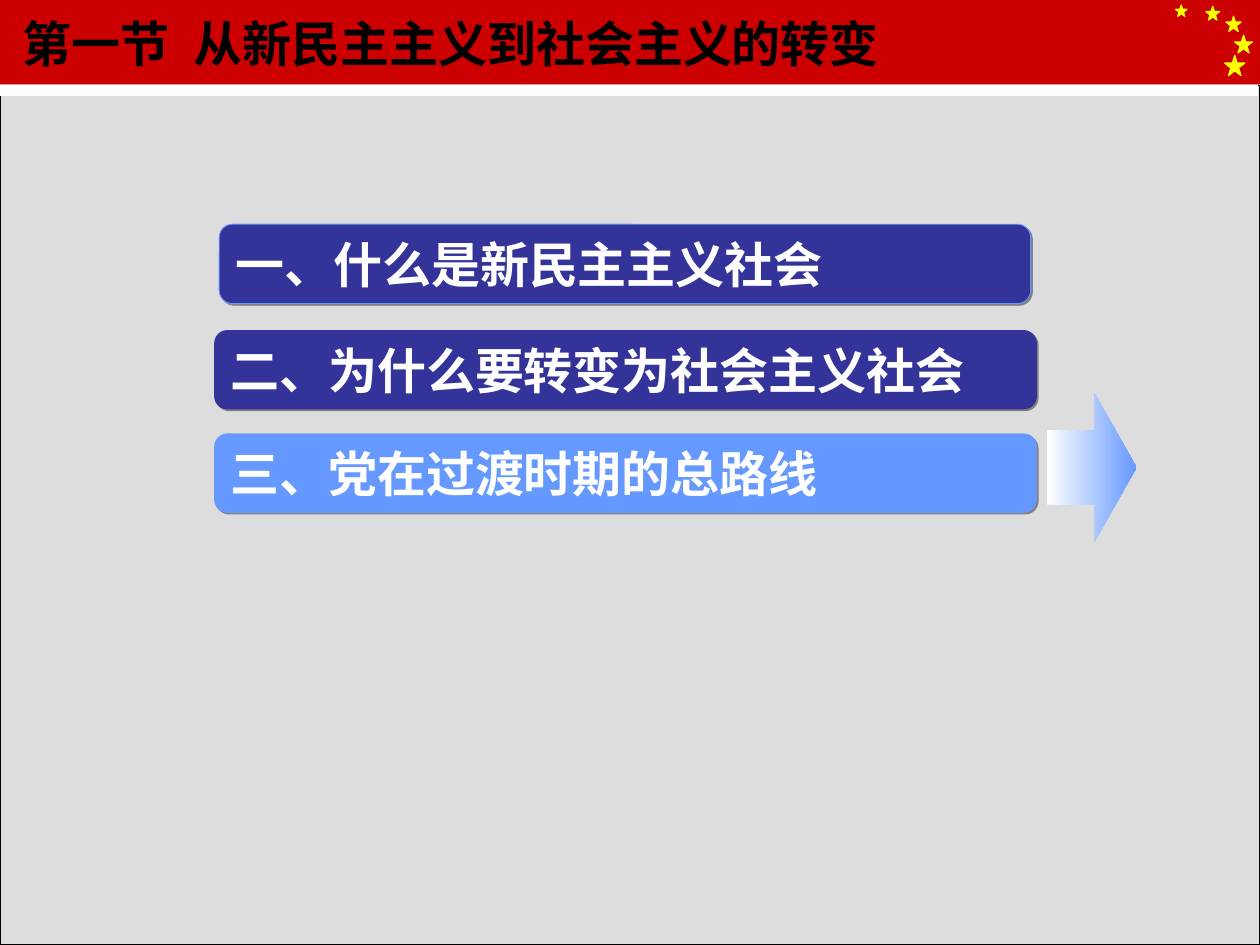
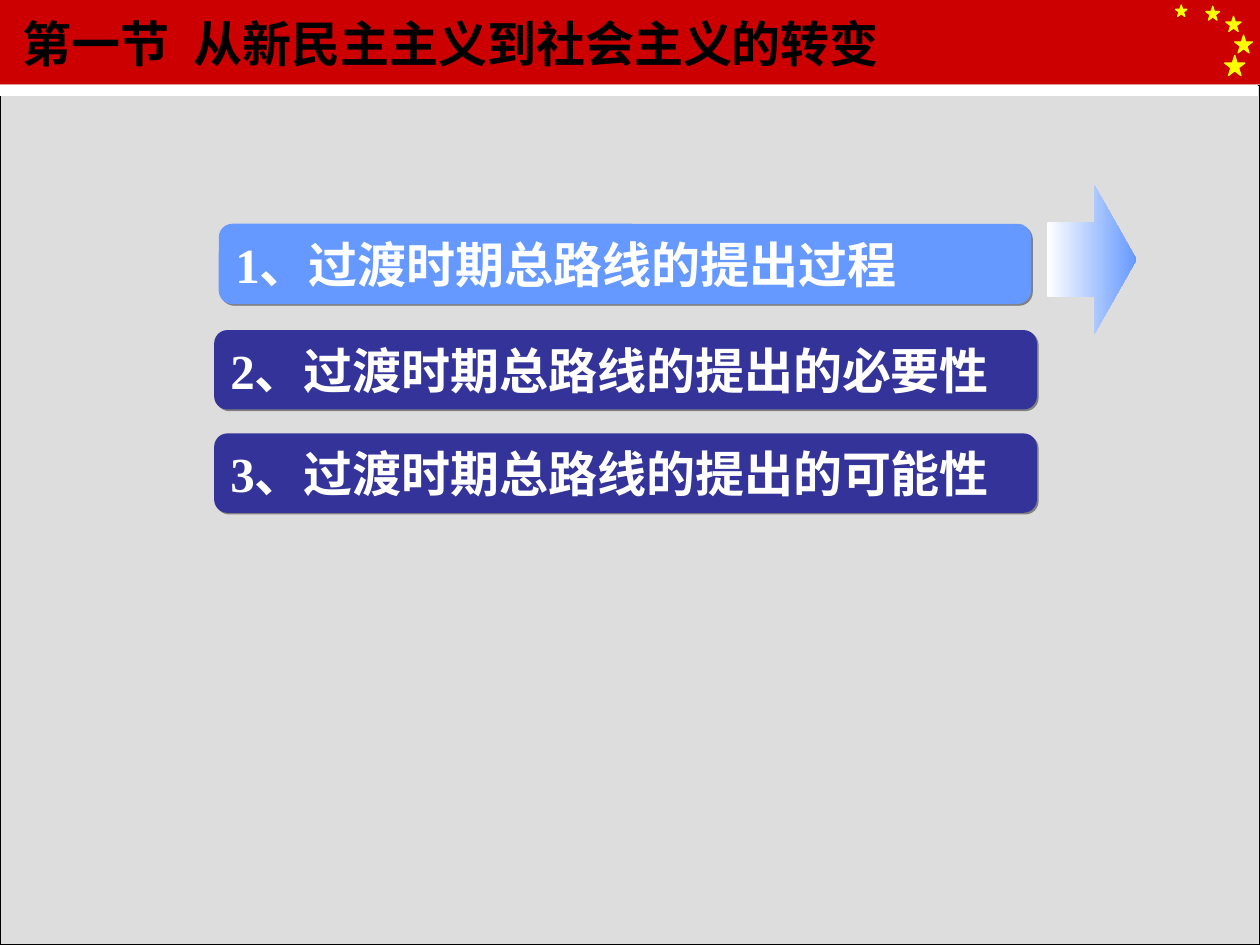
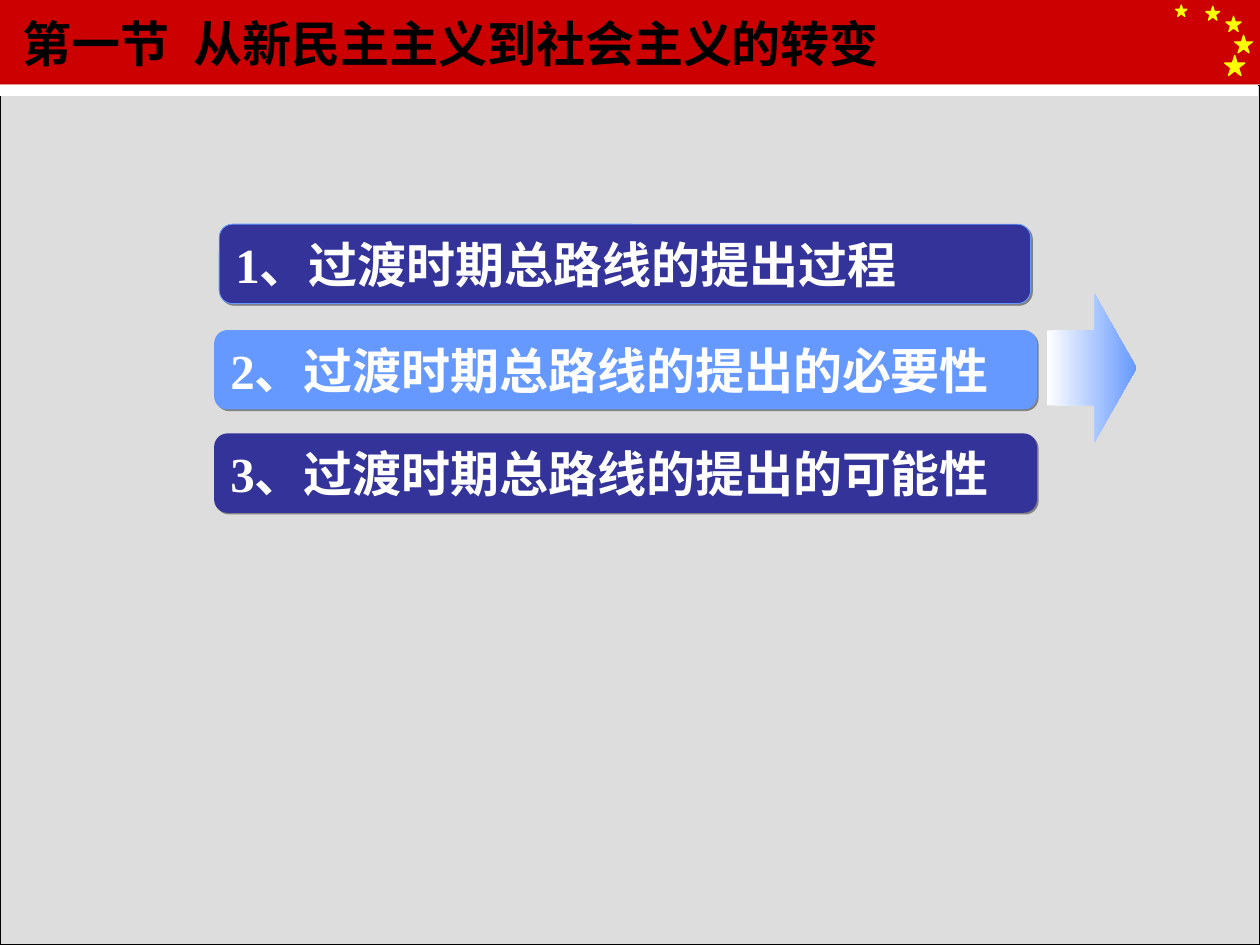
"""Build three outline slides with a red title band and highlighted agenda bars."""
from typing import NamedTuple, Optional

from lxml.etree import SubElement
from pptx import Presentation
from pptx.dml.color import RGBColor
from pptx.enum.lang import MSO_LANGUAGE_ID
from pptx.enum.shapes import MSO_SHAPE
from pptx.enum.text import MSO_ANCHOR, MSO_AUTO_SIZE, PP_ALIGN
from pptx.oxml.ns import qn
from pptx.shapes.autoshape import Shape
from pptx.slide import Slide
from pptx.util import Emu, Pt

PX = 9144
BACK, PANEL, RED, YELLOW = "EAEAEA", "DDDDDD", "CC0000", "FFFF00"
NAVY, SKY, GREY, WHITE, BLACK = "333399", "6699FF", "808080", "FFFFFF", "000000"
TITLE = "第一节\t从新民主主义到社会主义的转变"
TITLE_TAB = 136
FONT = {
    "name": "Times New Roman",
    "size": Pt(28),
    "bold": True,
    "language_id": MSO_LANGUAGE_ID.SIMPLIFIED_CHINESE,
}
FRAME = {"word_wrap": True, "vertical_anchor": MSO_ANCHOR.MIDDLE}


class Box(NamedTuple):
    """A rectangle in px."""

    left: int
    top: int
    width: int
    height: int


class Panel(NamedTuple):
    """A plain filled shape shared by all slides."""

    box: Box
    fill: str
    line: Optional[str] = None
    kind: MSO_SHAPE = MSO_SHAPE.RECTANGLE


class Bar(NamedTuple):
    """The place and outline of an agenda bar."""

    box: Box
    line: Optional[str] = None


class Agenda(NamedTuple):
    """The bars of one slide, the highlighted one and its arrow."""

    items: tuple[str, ...]
    current: int
    arrow_top: int


STARS = [(972, 44, 16), (957, 5, 11), (933, 4, 9), (973, 13, 12), (980, 28, 14)]
PANELS = [
    Panel(Box(0, 0, 1000, 67), RED),
    *(Panel(Box(x, y, size, size), YELLOW, YELLOW, MSO_SHAPE.STAR_5_POINT) for x, y, size in STARS),
    Panel(Box(0, 68, 1000, 682), PANEL, BLACK),
    Panel(Box(0, 68, 998, 8), WHITE, WHITE),
]
BARS = [
    Bar(Box(174, 178, 644, 63), SKY),
    Bar(Box(170, 262, 653, 63)),
    Bar(Box(170, 344, 653, 63)),
]
SECTIONS = ("一、什么是新民主主义社会", "二、为什么要转变为社会主义社会", "三、党在过渡时期的总路线")
TOPICS = ("1、过渡时期总路线的提出过程", "2、过渡时期总路线的提出的必要性", "3、过渡时期总路线的提出的可能性")
AGENDAS = [Agenda(SECTIONS, 2, 312), Agenda(TOPICS, 0, 147), Agenda(TOPICS, 1, 233)]


def rgb(value: str) -> RGBColor:
    """Turn a hex string into a colour."""
    return RGBColor.from_string(value)


def emu(box: Box) -> list[Emu]:
    """Scale a px box to EMU."""
    return [Emu(v * PX) for v in box]


def apply(target: object, values: dict) -> None:
    """Set attributes from a dict of format values."""
    for name, value in values.items():
        setattr(target, name, value)


def add_panel(s: Slide, panel: Panel, line_width: float = 0.75) -> Shape:
    """Draw a filled shape without shadow."""
    sp = s.shapes.add_shape(panel.kind, *emu(panel.box))
    sp.shadow.inherit = False
    sp.fill.solid()
    sp.fill.fore_color.rgb = rgb(panel.fill)
    if panel.line:
        sp.line.color.rgb = rgb(panel.line)
        sp.line.width = Pt(line_width)
    else:
        sp.line.fill.background()
    return sp


def write(sp: Shape, text: str, color: str, tab: Optional[int] = None) -> None:
    """Put one left-aligned line of text in a shape."""
    tf = sp.text_frame
    apply(tf, FRAME)
    p = tf.paragraphs[0]
    p.alignment = PP_ALIGN.LEFT
    if tab:
        tabs = SubElement(p._p.get_or_add_pPr(), qn("a:tabLst"))
        SubElement(tabs, qn("a:tab"), pos=str(tab * PX), algn="l")
    r = p.add_run()
    r.text = text
    apply(r.font, FONT)
    r.font.color.rgb = rgb(color)


def add_shadow(sp: Shape) -> None:
    """Give a shape a hard grey shadow to the lower right."""
    effects = sp._element.spPr.find(qn("a:effectLst"))
    shadow = SubElement(effects, qn("a:outerShdw"), dist=str(Pt(1.4)), dir="2700000", algn="ctr", rotWithShape="0")
    SubElement(shadow, qn("a:srgbClr"), val=GREY)


def add_bar(s: Slide, bar: Bar, text: str, fill: str) -> None:
    """Draw an agenda bar."""
    sp = add_panel(s, Panel(bar.box, fill, bar.line, MSO_SHAPE.ROUNDED_RECTANGLE), 0.5)
    add_shadow(sp)
    write(sp, text, WHITE)
    sp.text_frame.auto_size = MSO_AUTO_SIZE.SHAPE_TO_FIT_TEXT


def add_arrow(s: Slide, top: int) -> None:
    """Draw the gradient arrow beside the current bar."""
    sp = add_panel(s, Panel(Box(831, top, 71, 118), SKY, kind=MSO_SHAPE.RIGHT_ARROW))
    sp.adjustments[1] = 0.47
    sp.fill.gradient()
    sp.fill.gradient_angle = 0
    for stop, color in zip(sp.fill.gradient_stops, (WHITE, SKY)):
        stop.color.rgb = rgb(color)


def add_agenda(prs: Presentation, agenda: Agenda) -> None:
    """Add one slide with its band, bars, arrow and title."""
    s = prs.slides.add_slide(prs.slide_layouts[6])
    s.background.fill.solid()
    s.background.fill.fore_color.rgb = rgb(BACK)
    for panel in PANELS:
        add_panel(s, panel)
    for i, (bar, text) in enumerate(zip(BARS, agenda.items)):
        add_bar(s, bar, text, SKY if i == agenda.current else NAVY)
    add_arrow(s, agenda.arrow_top)
    write(s.shapes.add_textbox(*emu(Box(8, 0, 783, 68))), TITLE, BLACK, TITLE_TAB)


def main() -> None:
    """Build and save the presentation."""
    prs = Presentation()
    prs.slide_width, prs.slide_height = Emu(1000 * PX), Emu(750 * PX)
    for agenda in AGENDAS:
        add_agenda(prs, agenda)
    prs.save("out.pptx")


if __name__ == "__main__":
    main()
